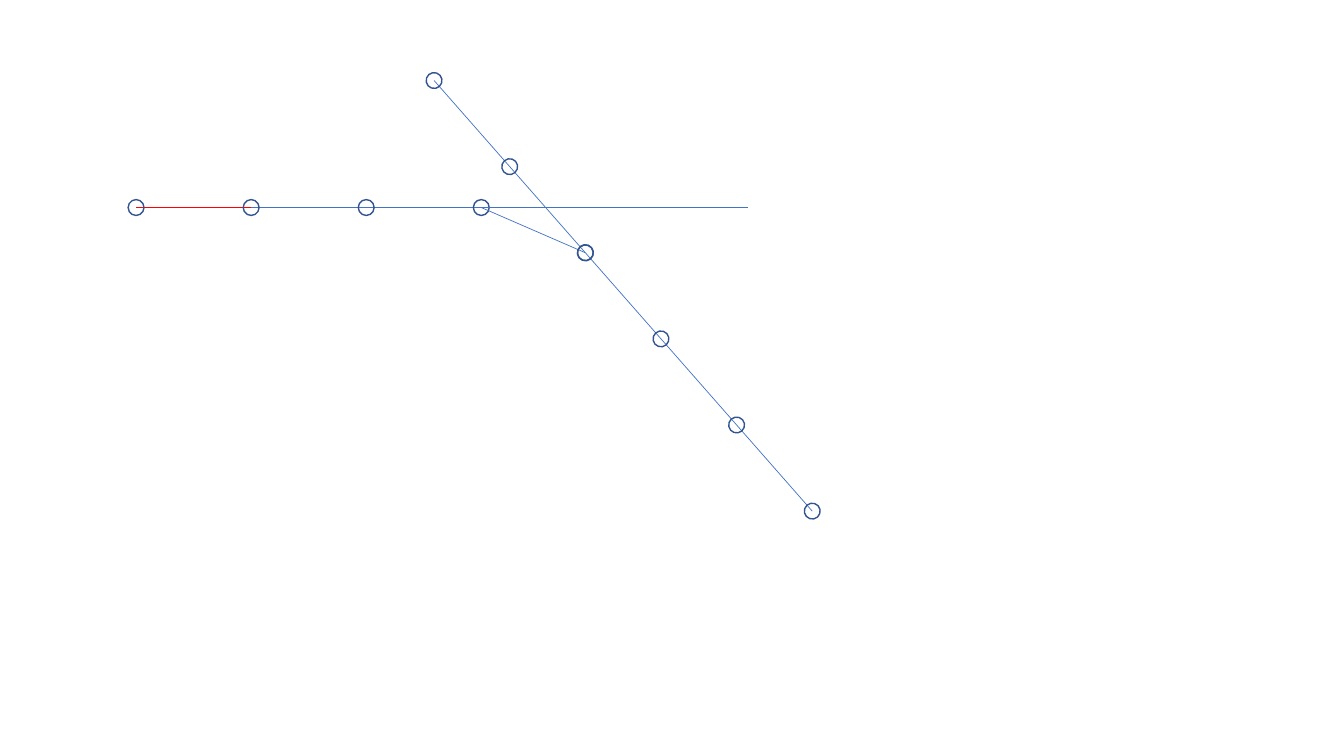
import pptx
import pptx.util
import pptx.dml.color
import pptx.enum.shapes
import pptx.oxml.ns
import lxml.etree

Cm = pptx.util.Cm

# Content: two tracks of evenly spaced nodes, in cm
MAIN = {"start": (3.43, 5.23), "step": (2.9, 0), "count": 4, "turn": 0}
SLANT = {"start": (10.94, 2.03), "step": (1.906, 2.17), "count": 6, "turn": 48.7}
JOIN = 2            # slant node that the main track bends to
BEND = 23.4         # turn of the ring at the bend
TAIL = (18.85, 5.23)
RING = 0.4

THEME = {"ring": "325491", "link": "4472C4", "first": "FF0000",
         "ring_pt": 1, "link_pt": 0.5}


def nodes(track):
    (x, y), (dx, dy) = track["start"], track["step"]
    return [(x + i * dx, y + i * dy) for i in range(track["count"])]


def paint(line, color, width):
    line.color.rgb = pptx.dml.color.RGBColor.from_string(THEME[color])
    line.width = pptx.util.Pt(THEME[width])


def add_ring(slide, mid, turn):
    x, y = mid
    ring = slide.shapes.add_shape(
        pptx.enum.shapes.MSO_SHAPE.OVAL,
        Cm(x - RING / 2), Cm(y - RING / 2), Cm(RING), Cm(RING))
    ring.rotation = turn
    ring.shadow.inherit = False
    ring.fill.background()
    paint(ring.line, "ring", "ring_pt")


def add_link(slide, start, end, color="link"):
    link = slide.shapes.add_connector(
        pptx.enum.shapes.MSO_CONNECTOR.STRAIGHT,
        *(Cm(v) for v in start + end))
    paint(link.line, color, "link_pt")
    props = link.element.find(pptx.oxml.ns.qn("p:spPr"))
    lxml.etree.SubElement(props, pptx.oxml.ns.qn("a:effectLst"))


def add_track(slide, track, first="link"):
    mids = nodes(track)
    for i, (start, end) in enumerate(zip(mids, mids[1:])):
        add_link(slide, start, end, "link" if i else first)
    for mid in mids:
        add_ring(slide, mid, track["turn"])
    return mids


def main():
    deck = pptx.Presentation()
    deck.slide_width, deck.slide_height = Cm(33.87), Cm(19.05)
    slide = deck.slides.add_slide(deck.slide_layouts[6])

    # Tracks
    flat = add_track(slide, MAIN, "first")
    slant = add_track(slide, SLANT)

    # Bend into the slanted track, and the straight way on
    add_link(slide, flat[-1], slant[JOIN])
    add_ring(slide, slant[JOIN], BEND)
    add_link(slide, flat[-1], TAIL)

    deck.save("out.pptx")


if __name__ == "__main__":
    main()
